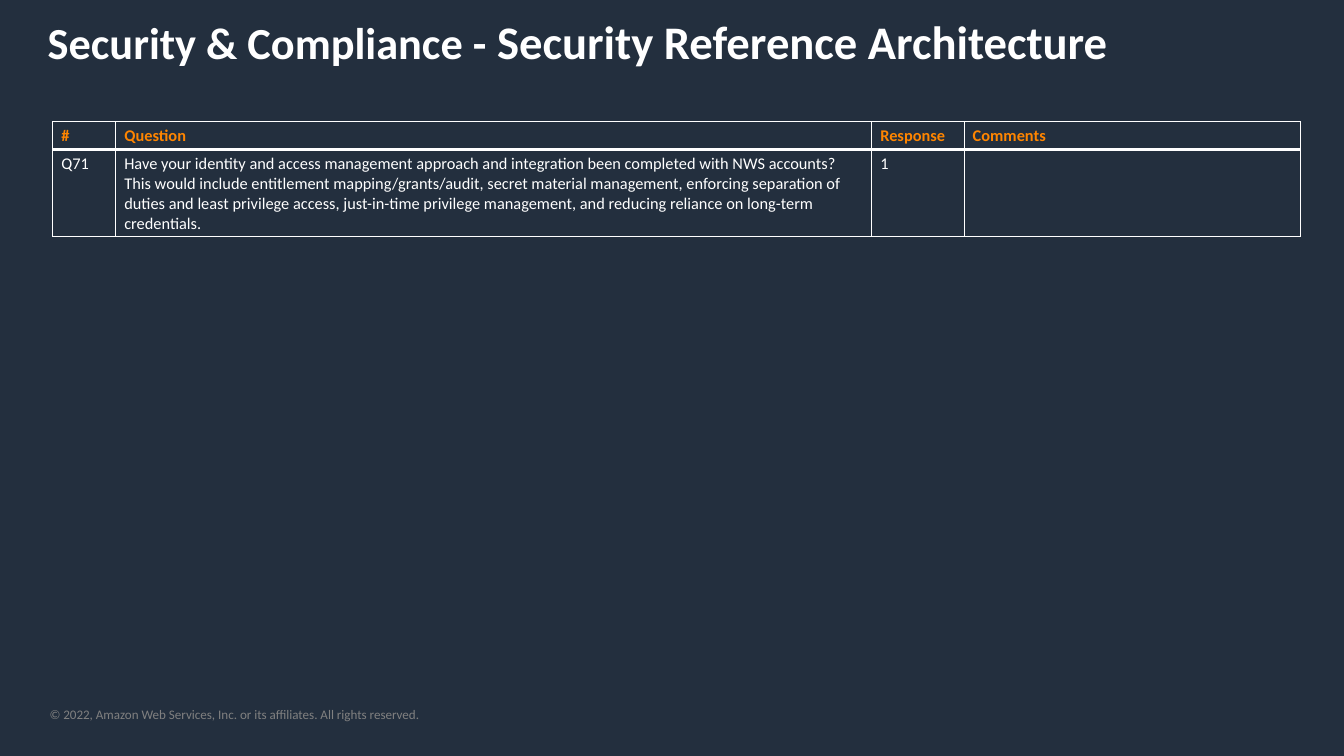
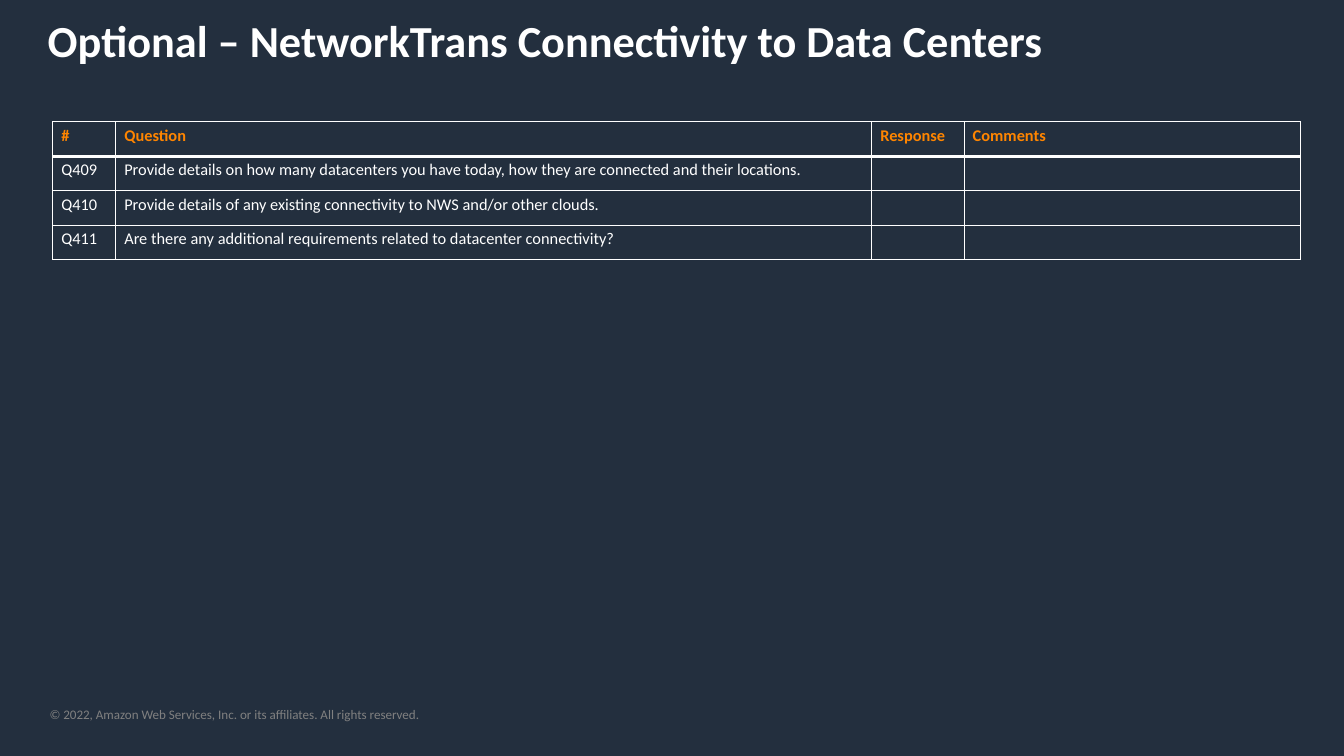
"""Build two assessment questionnaire slides with a shared title, table and footer style."""
from dataclasses import dataclass

import pptx
import pptx.dml.color
import pptx.enum.text
import pptx.oxml
import pptx.oxml.ns
import pptx.slide
import pptx.table
import pptx.text.text
import pptx.util

Inches = pptx.util.Inches
Pt = pptx.util.Pt

COLORS = {
    "background": "232F3E",
    "text": "FFFFFF",
    "heading": "FF8500",
    "copyright": "808080",
}
FONT = "Calibri"
COPYRIGHT = "© 2022, Amazon Web Services, Inc. or its affiliates. All rights reserved."
HEADINGS = ("#", "Question", "Response", "Comments")
COLUMN_WIDTHS = (0.75, 9, 1.1, 4)
RULE_WIDTH = 1
HEADING_RULE_WIDTH = 3


@dataclass(frozen=True)
class TitlePart:
    text: str
    size: float


@dataclass(frozen=True)
class Question:
    number: str
    text: str
    response: str = ""
    comments: str = ""


@dataclass(frozen=True)
class Questionnaire:
    title: tuple[TitlePart, ...]
    title_height: float
    row_height: float
    questions: tuple[Question, ...]


QUESTIONNAIRES = (
    Questionnaire(
        title=(
            TitlePart("Security & Compliance - ", 38),
            TitlePart("Security Reference Architecture", 40),
        ),
        title_height=0.77,
        row_height=0.28,
        questions=(
            Question(
                "Q71",
                "Have your identity and access management approach and integration been "
                "completed with NWS accounts? This would include entitlement "
                "mapping/grants/audit, secret material management, enforcing separation of "
                "duties and least privilege access, just-in-time privilege management, and "
                "reducing reliance on long-term credentials.",
                "1",
            ),
        ),
    ),
    Questionnaire(
        title=(TitlePart("Optional – NetworkTrans Connectivity to Data Centers", 38),),
        title_height=0.74,
        row_height=0.41,
        questions=(
            Question(
                "Q409",
                "Provide details on how many datacenters you have today, how they are "
                "connected and their locations.",
            ),
            Question(
                "Q410",
                "Provide details of any existing connectivity to NWS and/or other clouds.",
            ),
            Question(
                "Q411",
                "Are there any additional requirements related to datacenter connectivity?",
            ),
        ),
    ),
)


def rgb(name: str) -> pptx.dml.color.RGBColor:
    return pptx.dml.color.RGBColor.from_string(COLORS[name])


def style_font(font: pptx.text.text.Font, color: str, bold: bool = False) -> None:
    font.name = FONT
    font.bold = bold
    font.color.rgb = rgb(color)


def add_text_frame(
    slide: pptx.slide.Slide, left: float, top: float, width: float, height: float
) -> pptx.text.text.TextFrame:
    box = slide.shapes.add_textbox(Inches(left), Inches(top), Inches(width), Inches(height))
    frame = box.text_frame
    frame.word_wrap = True
    frame.auto_size = pptx.enum.text.MSO_AUTO_SIZE.SHAPE_TO_FIT_TEXT
    return frame


def add_copyright(slide: pptx.slide.Slide) -> None:
    frame = add_text_frame(slide, 0.59, 8.41, 7.78, 0.19)
    frame.margin_left = frame.margin_top = frame.margin_right = frame.margin_bottom = 0
    line = frame.paragraphs[0]
    line.text = COPYRIGHT
    line.font.size = Pt(11.2)
    style_font(line.font, "copyright")


def add_title(slide: pptx.slide.Slide, parts: tuple[TitlePart, ...], height: float) -> None:
    line = add_text_frame(slide, 0.47, 0.11, 15.26, height).paragraphs[0]
    style_font(line.font, "text", bold=True)
    for part in parts:
        run = line.add_run()
        run.text = part.text
        run.font.size = Pt(part.size)


def add_borders(cell: pptx.table._Cell, bottom_width: float) -> None:
    properties = cell._tc.get_or_add_tcPr()
    for side in "LRTB":
        width = Pt(bottom_width if side == "B" else RULE_WIDTH)
        properties.append(
            pptx.oxml.parse_xml(
                f'<a:ln{side} {pptx.oxml.ns.nsdecls("a")} w="{width}"><a:solidFill>'
                f'<a:srgbClr val="{COLORS["text"]}"/></a:solidFill></a:ln{side}>'
            )
        )


def fill_cell(cell: pptx.table._Cell, text: str, is_heading: bool) -> None:
    add_borders(cell, HEADING_RULE_WIDTH if is_heading else RULE_WIDTH)
    cell.fill.background()
    line = cell.text_frame.paragraphs[0]
    if text:
        line.text = text
    line.font.size = Pt(14)
    style_font(line.font, "heading" if is_heading else "text", bold=is_heading)


def add_question_table(
    slide: pptx.slide.Slide, questions: tuple[Question, ...], row_height: float
) -> None:
    rows = [HEADINGS] + [(q.number, q.text, q.response, q.comments) for q in questions]
    table = slide.shapes.add_table(
        len(rows), len(HEADINGS), Inches(0.63), Inches(1.45),
        Inches(sum(COLUMN_WIDTHS)), Inches(row_height * len(rows)),
    ).table
    table.horz_banding = False
    for column, width in zip(table.columns, COLUMN_WIDTHS):
        column.width = Inches(width)
    for row_index, texts in enumerate(rows):
        table.rows[row_index].height = Inches(row_height)
        for column_index, text in enumerate(texts):
            fill_cell(table.cell(row_index, column_index), text, row_index == 0)


def main() -> None:
    deck = pptx.Presentation()
    deck.slide_width = Inches(16)
    deck.slide_height = Inches(9)
    backdrop = deck.slide_master.background.fill
    backdrop.solid()
    backdrop.fore_color.rgb = rgb("background")
    for questionnaire in QUESTIONNAIRES:
        slide = deck.slides.add_slide(deck.slide_layouts[6])
        add_copyright(slide)
        add_title(slide, questionnaire.title, questionnaire.title_height)
        add_question_table(slide, questionnaire.questions, questionnaire.row_height)
    deck.save("out.pptx")


if __name__ == "__main__":
    main()
